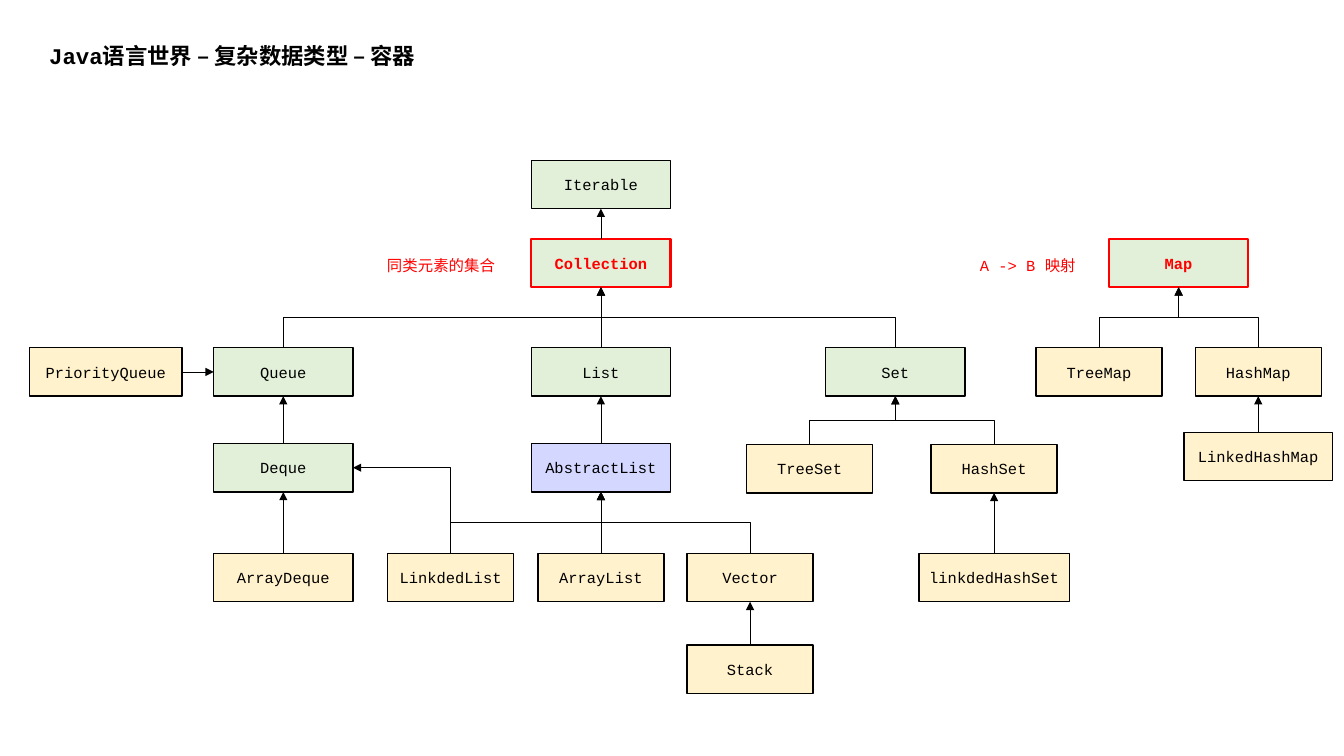
from lxml.etree import SubElement
from pptx import Presentation
from pptx.dml.color import RGBColor
from pptx.enum.shapes import MSO_CONNECTOR as Connector, MSO_SHAPE as Shape
from pptx.enum.text import MSO_ANCHOR as Anchor, MSO_AUTO_SIZE as AutoSize, PP_ALIGN as Align
from pptx.oxml.ns import qn
from pptx.util import Emu, Pt

PX = 9144  # one px is a hundredth of an inch
TOP, LEFT, BOTTOM, RIGHT = range(4)
BLACK, RED = "000000", "FF0000"
INTERFACE, ABSTRACT, CONCRETE = "E2F0D9", "D4D7FF", "FFF2CC"
WIDE, NARROW, HEIGHT = 138, 125, 48


def px(value):
    return Emu(int(value * PX))


def color(value):
    return RGBColor.from_string(value)


def write(frame, text, size=11, ink=BLACK, bold=False, align=Align.LEFT, spacing=None):
    frame.word_wrap = True
    para = frame.paragraphs[0]
    para.alignment = align
    para.line_spacing = spacing
    span = para.add_run()
    span.text = text
    span.font.name = "Courier New"
    span.font.size = Pt(size)
    span.font.bold = bold
    span.font.color.rgb = color(ink)


class Diagram:
    def __init__(self, deck):
        self.slide = deck.slides.add_slide(deck.slide_layouts[6])
        self.shapes = self.slide.shapes

    def label(self, text, left, top, width, height, **style):
        box = self.shapes.add_textbox(px(left), px(top), px(width), px(height))
        box.text_frame.auto_size = AutoSize.SHAPE_TO_FIT_TEXT
        write(box.text_frame, text, **style)

    def type_box(self, name, center, top, width, fill, key=False):
        box = self.shapes.add_shape(Shape.RECTANGLE, px(center - width / 2), px(top),
                                    px(width), px(HEIGHT))
        box.shadow.inherit = False
        box.fill.solid()
        box.fill.fore_color.rgb = color(fill)
        box.line.color.rgb = color(RED if key else BLACK)
        box.line.width = Pt(1.5 if key else 1)
        box.text_frame.vertical_anchor = Anchor.MIDDLE
        write(box.text_frame, name, ink=RED if key else BLACK, bold=key, align=Align.CENTER)
        return box

    def arrow(self, child, parent, start=TOP, end=BOTTOM):
        aligned = child.left + child.width // 2 == parent.left + parent.width // 2
        straight = aligned or start == RIGHT
        kind = Connector.STRAIGHT if straight else Connector.ELBOW
        line = self.shapes.add_connector(kind, 0, 0, 0, 0)
        line.begin_connect(child, start)
        line.end_connect(parent, end)
        line.line.color.rgb = color(BLACK)
        line.line.width = Pt(0.5)
        SubElement(line.line._get_or_add_ln(), qn("a:tailEnd"), type="triangle")
        properties = line._element.spPr
        SubElement(properties, qn("a:effectLst"))
        if not straight:
            self.leave_upwards(line, properties)
            if end == RIGHT:
                properties.find(qn("a:prstGeom")).set("prst", "bentConnector2")

    @staticmethod
    def leave_upwards(line, properties):
        """Turn an elbow a quarter so that its first leg runs vertically."""
        to_right = line.end_x > line.begin_x
        left, top, width, height = line.left, line.top, line.width, line.height
        line.left = left + (width - height) // 2
        line.top = top + (height - width) // 2
        line.width, line.height = height, width
        frame = properties.find(qn("a:xfrm"))
        frame.set("rot", str((90 if to_right else 270) * 60000))
        frame.set("flipH", "1" if to_right else "0")
        frame.set("flipV", "1")


# name, centre x, top, width, fill
TYPES = [
    ("Iterable", 596, 159, WIDE, INTERFACE),
    ("Collection", 596, 237, WIDE, INTERFACE, True),
    ("Queue", 281, 345, WIDE, INTERFACE),
    ("List", 596, 345, WIDE, INTERFACE),
    ("Set", 888, 345, WIDE, INTERFACE),
    ("PriorityQueue", 105, 345, 151, CONCRETE),
    ("Deque", 281, 440, WIDE, INTERFACE),
    ("AbstractList", 596, 440, WIDE, ABSTRACT),
    ("TreeSet", 803, 441, NARROW, CONCRETE),
    ("HashSet", 986, 441, NARROW, CONCRETE),
    ("ArrayDeque", 281, 549, WIDE, CONCRETE),
    ("LinkdedList", 447, 549, NARROW, CONCRETE),
    ("ArrayList", 596, 549, NARROW, CONCRETE),
    ("Vector", 744, 549, NARROW, CONCRETE),
    ("linkdedHashSet", 986, 549, 149, CONCRETE),
    ("Stack", 744, 640, NARROW, CONCRETE),
    ("Map", 1169, 237, WIDE, INTERFACE, True),
    ("TreeMap", 1090, 345, NARROW, CONCRETE),
    ("HashMap", 1248, 345, NARROW, CONCRETE),
    ("LinkedHashMap", 1248, 429, 147, CONCRETE),
]

# parent: children
CHILDREN = {
    "Iterable": ["Collection"],
    "Collection": ["Queue", "List", "Set"],
    "Queue": ["Deque"],
    "Deque": ["ArrayDeque"],
    "List": ["AbstractList"],
    "AbstractList": ["LinkdedList", "ArrayList", "Vector"],
    "Vector": ["Stack"],
    "Set": ["TreeSet", "HashSet"],
    "HashSet": ["linkdedHashSet"],
    "Map": ["TreeMap", "HashMap"],
    "HashMap": ["LinkedHashMap"],
}


def main():
    deck = Presentation()
    deck.slide_width, deck.slide_height = px(1333), px(750)
    diagram = Diagram(deck)

    # Title
    diagram.label("Java语言世界 – 复杂数据类型 – 容器", 39, 37, 543, 37,
                  size=16, bold=True, align=Align.JUSTIFY)

    # Types
    boxes = {row[0]: diagram.type_box(*row) for row in TYPES}

    # Inheritance
    for parent, children in CHILDREN.items():
        for child in children:
            diagram.arrow(boxes[child], boxes[parent])
    diagram.arrow(boxes["PriorityQueue"], boxes["Queue"], RIGHT, LEFT)
    diagram.arrow(boxes["LinkdedList"], boxes["Deque"], TOP, RIGHT)

    # Remarks beside the two roots
    for text, left in (("同类元素的集合", 374), ("A -> B 映射", 962)):
        diagram.label(text, left, 245, 130, 31, ink=RED, spacing=1.25)

    deck.save("out.pptx")


if __name__ == "__main__":
    main()
